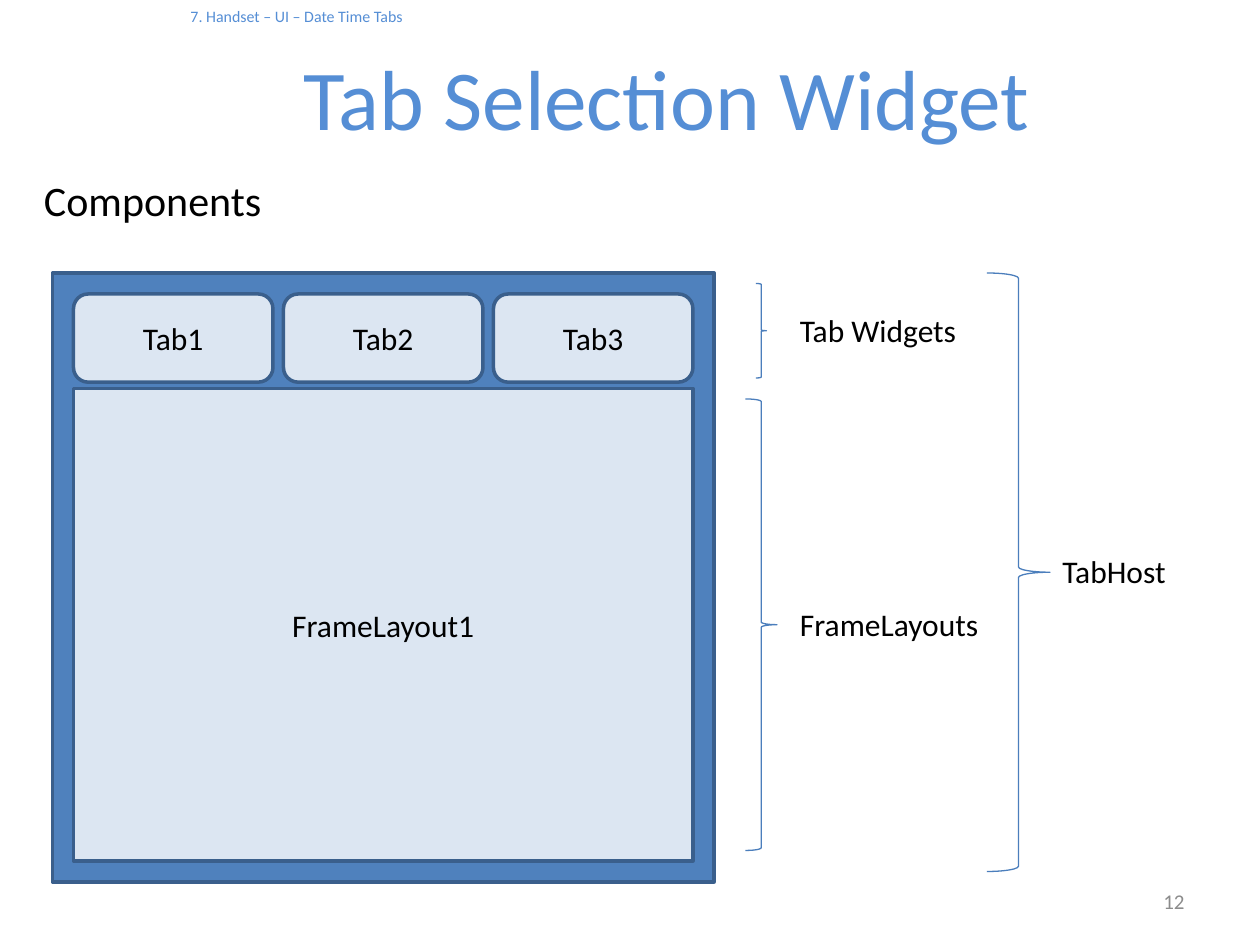
from pptx import Presentation
from pptx.dml.color import RGBColor
from pptx.enum.shapes import MSO_SHAPE as Shape
from pptx.enum.text import MSO_ANCHOR as Anchor, MSO_AUTO_SIZE as AutoSize, PP_ALIGN as Align
from pptx.util import Inches, Pt

COLORS = {
    "heading": "558ED5", "text": "000000", "number": "8C8C8C",
    "host": "4F81BD", "panel": "DCE6F2", "border": "3A5F8C", "brace": "4B7EBC",
}
COLUMNS, ROWS = 120, 90  # grid cells of 1/12 inch


def color(name):
    return RGBColor.from_string(COLORS[name])


def set_all(target, values):
    for name, value in values.items():
        setattr(target, name, value)


class SlideBuilder:
    font = "Calibri"

    def __init__(self, presentation):
        self.slide = presentation.slides.add_slide(presentation.slide_layouts[6])
        self.column = presentation.slide_width / COLUMNS
        self.row = presentation.slide_height / ROWS

    def place(self, left, top, width, height):
        return (round(left * self.column), round(top * self.row),
                round(width * self.column), round(height * self.row))

    def fill_paragraph(self, paragraph, text, size=18, ink="text", indent=0, **formats):
        run = paragraph.add_run()
        run.text = text
        set_all(run.font, {"name": self.font, "size": Pt(size)})
        run.font.color.rgb = color(ink)
        set_all(paragraph, formats)
        if indent:
            paragraph._p.get_or_add_pPr().set("marL", str(Inches(indent)))

    def text_box(self, box, *lines, **frame_formats):
        frame = self.slide.shapes.add_textbox(*self.place(*box)).text_frame
        set_all(frame, {"word_wrap": True, **frame_formats})
        for index, line in enumerate(lines):
            paragraph = frame.add_paragraph() if index else frame.paragraphs[0]
            self.fill_paragraph(paragraph, **line)

    def label(self, box, text, size=18):
        self.text_box(box, {"text": text, "size": size},
                      auto_size=AutoSize.SHAPE_TO_FIT_TEXT)

    def outline(self, kind, box, line, width):
        shape = self.slide.shapes.add_shape(kind, *self.place(*box))
        shape.shadow.inherit = False
        shape.line.color.rgb = color(line)
        shape.line.width = Pt(width)
        return shape

    def panel(self, kind, box, fill="panel", text=""):
        shape = self.outline(kind, box, "border", 2)
        shape.fill.solid()
        shape.fill.fore_color.rgb = color(fill)
        if text:
            set_all(shape.text_frame, {"word_wrap": True, "vertical_anchor": Anchor.MIDDLE})
            self.fill_paragraph(shape.text_frame.paragraphs[0], text, alignment=Align.CENTER)

    def brace(self, box):
        self.outline(Shape.RIGHT_BRACE, box, "brace", 0.75).fill.background()


def main():
    presentation = Presentation()
    set_all(presentation, {"slide_width": Inches(10), "slide_height": Inches(7.5)})
    builder = SlideBuilder(presentation)

    # Chapter line, title, page number and subtitle
    builder.text_box(
        (4, 0.6, 108, 11.4),
        {"text": "7. Handset – UI – Date Time Tabs", "size": 9.1, "ink": "heading",
         "indent": 1.08},
        {"text": "Tab Selection Widget", "size": 48.7, "ink": "heading", "indent": 0.92,
         "alignment": Align.CENTER, "space_before": Pt(11.1)},
        margin_top=0)
    builder.text_box(
        (86, 83.4, 28, 4.8),
        {"text": "12", "size": 12, "ink": "number", "alignment": Align.RIGHT},
        vertical_anchor=Anchor.MIDDLE)
    builder.label((3, 16, 112, 8.4), "Components", size=24)

    # Tab host with its tabs and frame
    builder.panel(Shape.RECTANGLE, (5, 26, 63, 58), fill="host")
    for index in range(3):
        builder.panel(Shape.ROUNDED_RECTANGLE, (7 + 20 * index, 28, 19, 8.4),
                      text=f"Tab{index + 1}")
    builder.panel(Shape.RECTANGLE, (7, 37, 59, 45), text="FrameLayout1")

    # Braces and the names of the parts they span
    for brace_box, label_box, name in (
        ((72, 27, 1, 9), (75, 29, 19, 5), "Tab Widgets"),
        ((71, 38, 3, 43), (75, 57, 21, 4.8), "FrameLayouts"),
        ((94, 26, 6, 57), (100, 52, 19, 4.8), "TabHost"),
    ):
        builder.brace(brace_box)
        builder.label(label_box, name)

    presentation.save("out.pptx")


if __name__ == "__main__":
    main()
